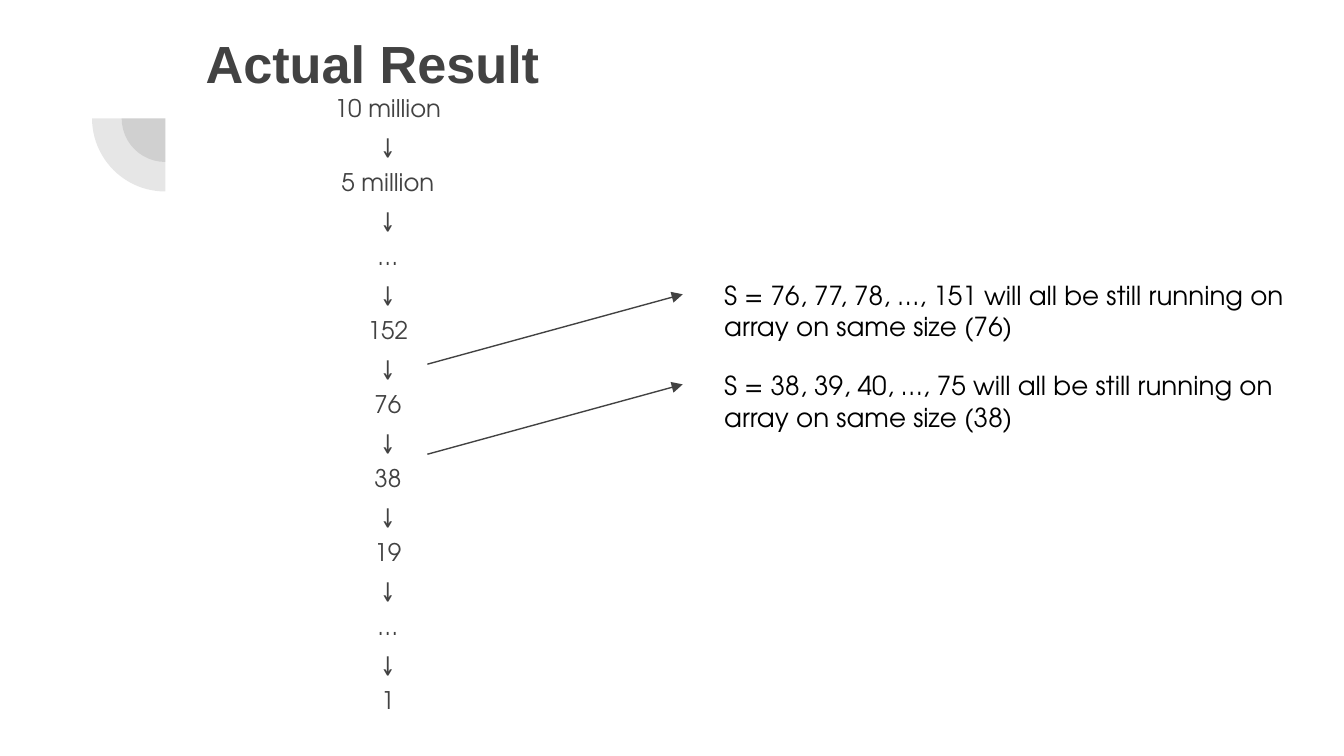
from lxml.etree import SubElement
from pptx import Presentation
from pptx.dml.color import RGBColor
from pptx.enum.shapes import MSO_CONNECTOR, MSO_SHAPE
from pptx.enum.text import MSO_ANCHOR as Anchor, MSO_AUTO_SIZE as AutoSize, PP_ALIGN as Align
from pptx.oxml.ns import qn
from pptx.util import Inches, Pt

GRAY = RGBColor(0x42, 0x42, 0x42)
BLACK = RGBColor(0, 0, 0)
HEADING_FONT = "Arial"
BODY_FONT = "TeX Gyre Adventor"
SIZES = ["10 million", "5 million", "…", "152", "76", "38", "19", "…", "1"]
NOTES = [
    "S = 76, 77, 78, …, 151 will all be still running on array on same size (76)",
    "S = 38, 39, 40, …, 75 will all be still running on array on same size (38)",
]


class SlideBuilder:
    """Draws styled elements on one slide."""

    def __init__(self, slide):
        self.slide = slide

    def fill_text(self, frame, lines, font, size, color, align=Align.LEFT, bold=False):
        frame.word_wrap = True
        frame.vertical_anchor = Anchor.TOP
        frame.margin_left = frame.margin_right = Inches(0.1)
        frame.margin_top = frame.margin_bottom = Inches(0.1)
        frame.text = "\n".join(lines)
        for paragraph in frame.paragraphs:
            paragraph.alignment = align
            for run in paragraph.runs:
                run.font.name = font
                run.font.size = Pt(size)
                run.font.bold = bold
                run.font.color.rgb = color

    def title(self, text, left, top, width, height):
        heading = self.slide.shapes.title
        heading.left, heading.top = Inches(left), Inches(top)
        heading.width, heading.height = Inches(width), Inches(height)
        heading.text_frame.auto_size = AutoSize.NONE
        self.fill_text(heading.text_frame, [text], HEADING_FONT, 28, GRAY, bold=True)

    def text(self, lines, left, top, width, height, size, color, align=Align.LEFT):
        box = self.slide.shapes.add_textbox(
            Inches(left), Inches(top), Inches(width), Inches(height))
        self.fill_text(box.text_frame, lines, BODY_FONT, size, color, align)
        return box.text_frame

    def quarter(self, center_x, center_y, diameter):
        radius = diameter / 2
        pie = self.slide.shapes.add_shape(
            MSO_SHAPE.PIE, Inches(center_x - radius), Inches(center_y - radius),
            Inches(diameter), Inches(diameter))
        pie.rotation = 270
        pie.adjustments[0], pie.adjustments[1] = 108, 162
        pie.shadow.inherit = False
        pie.line.fill.background()
        pie.fill.solid()
        pie.fill.fore_color.rgb = GRAY
        tint = pie.fill._xPr.find(qn("a:solidFill"))[0]
        SubElement(tint, qn("a:alpha"), val="13000")

    def arrow(self, from_x, from_y, to_x, to_y):
        pointer = self.slide.shapes.add_connector(
            MSO_CONNECTOR.STRAIGHT, Inches(from_x), Inches(from_y), Inches(to_x), Inches(to_y))
        pointer.line.color.rgb = GRAY
        pointer.line.width = Pt(0.75)
        SubElement(pointer.line._get_or_add_ln(), qn("a:tailEnd"), type="triangle")
        SubElement(pointer._element.spPr, qn("a:effectLst"))


def main():
    deck = Presentation()
    deck.slide_width = Inches(10)
    deck.slide_height = deck.slide_width * 9 // 16
    builder = SlideBuilder(deck.slides.add_slide(deck.slide_layouts[5]))

    for diameter in (0.65, 1.09):
        builder.quarter(1.23, 0.88, diameter)
    builder.title("Actual Result", 1.43, 0.13, 7.69, 1.09)

    steps = "\n↓\n".join(SIZES).split("\n")
    chain = builder.text(steps, 1.04, 0.69, 3.69, 7.02, 13, GRAY, Align.CENTER)
    for index, step in enumerate(chain.paragraphs):
        step.line_spacing = 0.5
        step.space_before = Pt(12 if index else 0)

    for row, note in enumerate(NOTES):
        top = 1.98 + row * 0.67
        builder.arrow(3.18, top + 0.73, 5.08, top + 0.21)
        frame = builder.text([note], 5.29, top, 4.54, 0.67, 14, BLACK)
        frame.auto_size = AutoSize.SHAPE_TO_FIT_TEXT

    deck.save("out.pptx")


if __name__ == "__main__":
    main()
